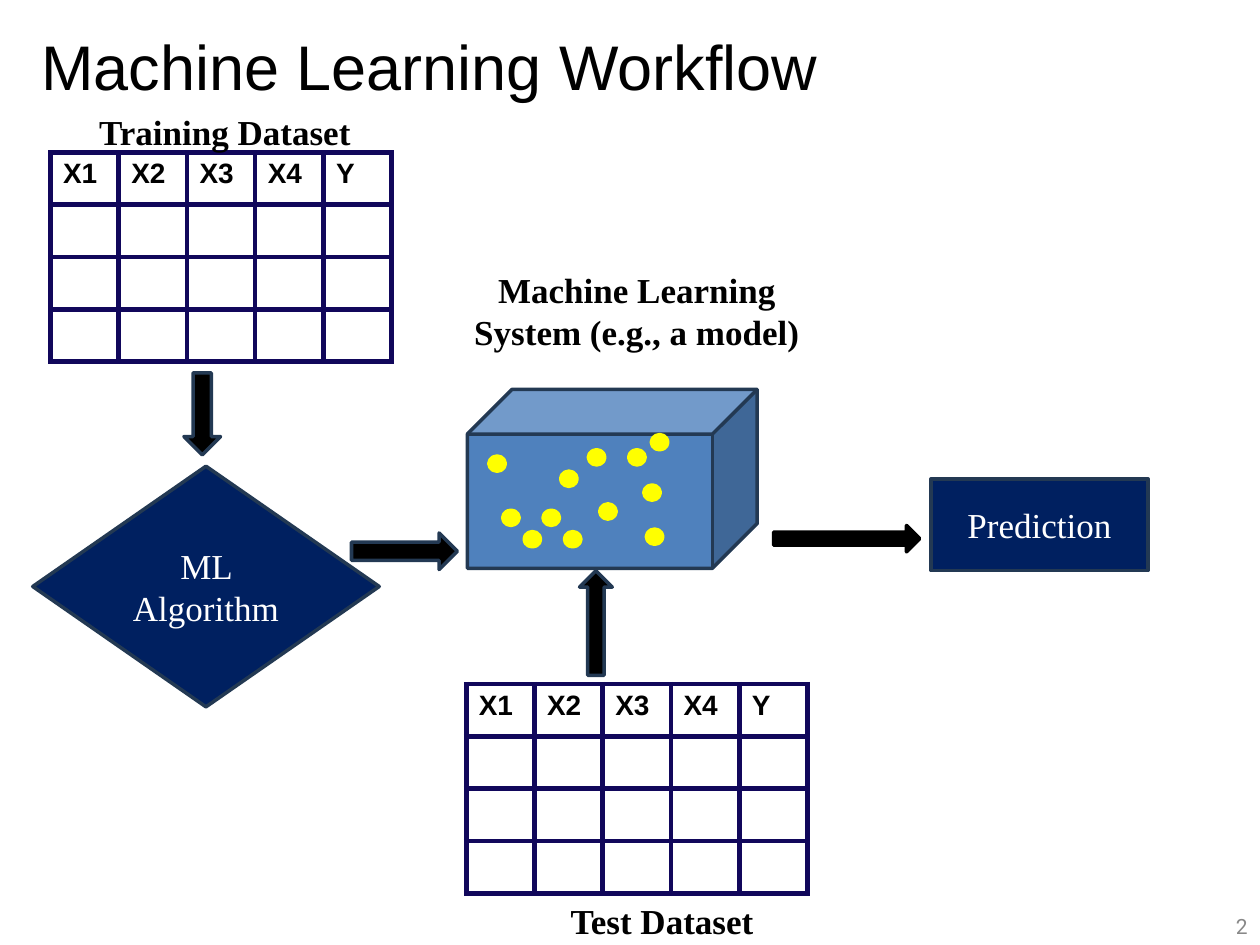
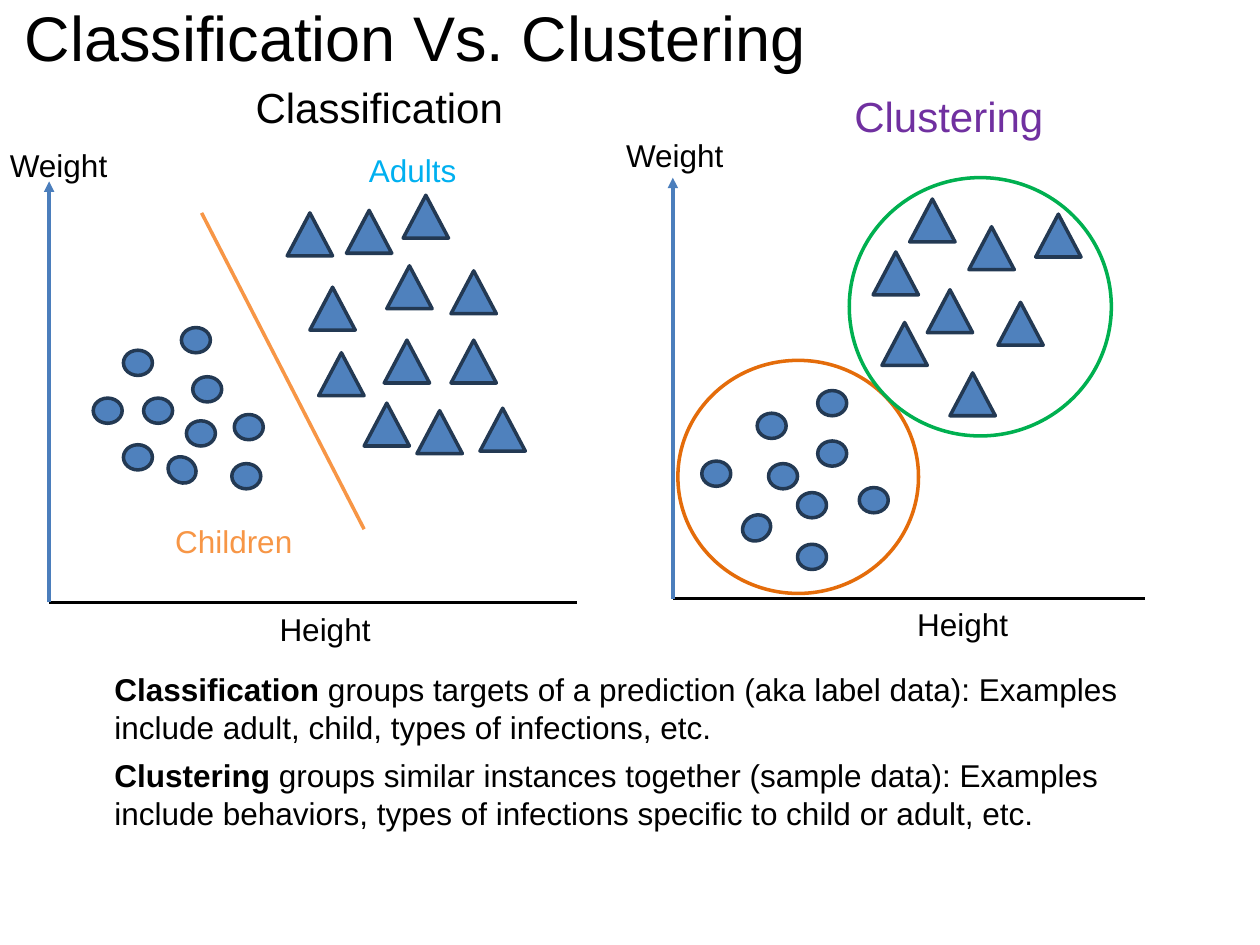
"""Build two slides on machine learning workflow, classification and clustering."""
import dataclasses
import itertools
from typing import Any, Optional

import lxml.etree
import pptx
import pptx.dml.color
import pptx.enum.shapes
import pptx.enum.text
import pptx.oxml.ns
import pptx.util

COLS, ROWS = 100, 75
SHAPE = pptx.enum.shapes.MSO_SHAPE
ALIGN = pptx.enum.text.PP_ALIGN
ANCHOR = pptx.enum.text.MSO_ANCHOR
Point = tuple[float, float]
Box = tuple[float, float, float, float]


@dataclasses.dataclass(frozen=True)
class Type:
    """A text style."""
    size: float
    color: str = "000000"
    name: str = "Arial"
    bold: bool = False
    align: Any = ALIGN.LEFT


@dataclasses.dataclass(frozen=True)
class Theme:
    """Colours and type sizes of both slides."""
    black: str = "000000"
    navy: str = "002060"
    blue: str = "4F81BD"
    edge: str = "233953"
    yellow: str = "FFFF00"
    grid: str = "11075B"
    axis: str = "4B7EBC"
    orange: str = "F79646"
    rust: str = "E46C0A"
    green: str = "00B050"
    stroke: float = 2
    title: Type = Type(36)
    number: Type = Type(12, "888888", "Roboto", align=ALIGN.RIGHT)
    header: Type = Type(16, bold=True)
    node: Type = Type(20, "FFFFFF", "Times New Roman", align=ALIGN.CENTER)
    caption: Type = Type(20, name="Times New Roman", bold=True, align=ALIGN.CENTER)
    body: Type = Type(18)
    group: Type = Type(18, align=ALIGN.CENTER)
    heading: Type = Type(24, align=ALIGN.CENTER)


T = Theme()


@dataclasses.dataclass(frozen=True)
class Para:
    """A paragraph with an optional bold lead."""
    text: str
    lead: str = ""


@dataclasses.dataclass(frozen=True)
class Label:
    """A text box."""
    box: Box
    paras: tuple[Para, ...]
    style: Type
    anchor: Any = ANCHOR.TOP
    inset: float = 0.05
    after: float = 0


@dataclasses.dataclass(frozen=True)
class Piece:
    """A preset shape."""
    kind: Any
    box: Box
    fill: Optional[str] = T.blue
    line: str = T.edge
    weight: float = T.stroke
    turn: float = 0
    text: str = ""


@dataclasses.dataclass(frozen=True)
class Line:
    """A straight line."""
    start: Point
    end: Point
    color: str = T.black
    arrow: bool = False


@dataclasses.dataclass(frozen=True)
class Plot:
    """A weight and height chart area."""
    origin: Point
    right: float
    top: float
    weight_at: Point
    height_at: Point


def rgb(color: str) -> Any:
    """Return a colour value."""
    return pptx.dml.color.RGBColor.from_string(color)


def place(prs: Any, *lengths: float) -> list[int]:
    """Turn alternating columns and rows into lengths."""
    units = itertools.cycle((prs.slide_width / COLS, prs.slide_height / ROWS))
    return [round(v * u) for v, u in zip(lengths, units)]


def apply(obj: Any, fmt: dict[str, Any]) -> None:
    """Set each format value on an object."""
    for key, value in fmt.items():
        setattr(obj, key, value)


def add_run(p: Any, text: str, style: Type, bold: bool) -> None:
    """Add a styled run."""
    r = p.add_run()
    r.text = text
    apply(r.font, {"size": pptx.util.Pt(style.size), "name": style.name, "bold": bold})
    r.font.color.rgb = rgb(style.color)


def write(tf: Any, paras: tuple[Para, ...], style: Type, after: float = 0) -> None:
    """Fill a text frame."""
    for i, para in enumerate(paras):
        p = tf.add_paragraph() if i else tf.paragraphs[0]
        apply(p, {"alignment": style.align, "space_after": pptx.util.Pt(after)})
        if para.lead:
            add_run(p, para.lead, style, True)
        add_run(p, para.text, style, style.bold)


def draw_label(prs: Any, s: Any, label: Label) -> None:
    """Draw a text box."""
    tf = s.shapes.add_textbox(*place(prs, *label.box)).text_frame
    inset = pptx.util.Inches(label.inset)
    apply(tf, {"word_wrap": True, "vertical_anchor": label.anchor,
               "margin_top": inset, "margin_bottom": inset})
    write(tf, label.paras, label.style, label.after)


def draw_piece(prs: Any, s: Any, piece: Piece) -> None:
    """Draw a preset shape."""
    sp = s.shapes.add_shape(piece.kind, *place(prs, *piece.box))
    apply(sp, {"rotation": piece.turn})
    sp.shadow.inherit = False
    if piece.fill:
        sp.fill.solid()
        sp.fill.fore_color.rgb = rgb(piece.fill)
    else:
        sp.fill.background()
    sp.line.color.rgb = rgb(piece.line)
    sp.line.width = pptx.util.Pt(piece.weight)
    if piece.text:
        apply(sp.text_frame, {"word_wrap": True, "vertical_anchor": ANCHOR.MIDDLE})
        write(sp.text_frame, (Para(piece.text),), T.node)


def draw_line(prs: Any, s: Any, line: Line) -> None:
    """Draw a connector."""
    kind = pptx.enum.shapes.MSO_CONNECTOR.STRAIGHT
    sp = s.shapes.add_connector(kind, *place(prs, *line.start, *line.end))
    sp.line.color.rgb = rgb(line.color)
    sp.line.width = pptx.util.Pt(T.stroke)
    qn = pptx.oxml.ns.qn
    if line.arrow:
        lxml.etree.SubElement(sp.line._get_or_add_ln(), qn("a:tailEnd"), type="triangle")
    lxml.etree.SubElement(sp._element.spPr, qn("a:effectLst"))


def draw_border(cell: Any) -> None:
    """Draw the four borders of a cell."""
    qn = pptx.oxml.ns.qn
    tc_pr = cell._tc.get_or_add_tcPr()
    for i, side in enumerate(("lnL", "lnR", "lnT", "lnB")):
        ln = lxml.etree.Element(qn(f"a:{side}"), w=str(pptx.util.Pt(3)))
        fill = lxml.etree.SubElement(ln, qn("a:solidFill"))
        lxml.etree.SubElement(fill, qn("a:srgbClr"), val=T.grid)
        tc_pr.insert(i, ln)


def draw_dataset(prs: Any, s: Any, at: Point) -> None:
    """Draw an empty data table with its header."""
    names, rows = ("X1", "X2", "X3", "X4", "Y"), 4
    frame = s.shapes.add_table(rows, len(names), *place(prs, *at, 27.1, 16.6))
    table = frame.table
    apply(table, {"first_row": False, "horz_banding": False})
    for row, col in itertools.product(range(rows), range(len(names))):
        cell = table.cell(row, col)
        cell.fill.background()
        draw_border(cell)
        if row == 0:
            write(cell.text_frame, (Para(names[col]),), T.header)
        else:
            cell.text_frame.paragraphs[0].font.size = pptx.util.Pt(T.header.size)


def draw_plot(prs: Any, s: Any, plot: Plot) -> None:
    """Draw the axes of a plot and their names."""
    x, y = plot.origin
    draw_line(prs, s, Line(plot.origin, (plot.right, y)))
    draw_line(prs, s, Line(plot.origin, (x, plot.top), T.axis, True))
    for name, at in (("Weight", plot.weight_at), ("Height", plot.height_at)):
        draw_label(prs, s, Label((*at, 14.1, 4), (Para(name),), T.body))


def add_slide(prs: Any, title: str, box: Box) -> Any:
    """Add a blank slide with its title."""
    s = prs.slides.add_slide(prs.slide_layouts[6])
    draw_label(prs, s, Label(box, (Para(title),), T.title, ANCHOR.MIDDLE, 0.1))
    return s


def build_workflow(prs: Any) -> None:
    """Build the workflow slide."""
    s = add_slide(prs, "Machine Learning Workflow", (2.3, 0.2, 90, 10))
    draw_label(prs, s, Label((80, 72, 20, 3), (Para("2"),), T.number, ANCHOR.MIDDLE))
    for at in ((4, 12.1), (37, 54.3)):
        draw_dataset(prs, s, at)
    nodes = (
        Piece(SHAPE.DIAMOND, (2.6, 37, 27.5, 19.1), T.navy, text="ML Algorithm"),
        Piece(SHAPE.CUBE, (37.1, 30.9, 23, 14.2)),
        Piece(SHAPE.RECTANGLE, (73.9, 38, 17.2, 7.3), T.navy, text="Prediction"),
    )
    arrows = (
        Piece(SHAPE.DOWN_ARROW, (14.6, 29.6, 2.9, 6.5), T.black),
        Piece(SHAPE.RIGHT_ARROW, (27.9, 42.3, 8.4, 2.9), T.black),
        Piece(SHAPE.UP_ARROW, (46, 45.3, 2.6, 8.3), T.black),
        Piece(SHAPE.RIGHT_ARROW, (61.4, 41.7, 11.6, 2.1), T.black, T.black),
    )
    dots = ((44.6, 37.5), (43.2, 40.6), (50, 35.8), (51.2, 38.6), (46.8, 35.8), (47.7, 40.1),
            (51.8, 34.6), (44.9, 42.3), (51.4, 42.1), (38.9, 36.3), (40, 40.6), (41.7, 42.3))
    samples = (Piece(SHAPE.OVAL, (*at, 1.1, 1), T.yellow, T.yellow, 3.5) for at in dots)
    for piece in itertools.chain(nodes, samples, arrows):
        draw_piece(prs, s, piece)
    for text, box in (("Training Dataset", (2.6, 8.3, 30.5, 4.4)),
                      ("Test Dataset", (37.3, 70.9, 30.5, 4.4)),
                      ("Machine Learning System (e.g., a model)", (35.4, 20.8, 30.3, 7.7))):
        draw_label(prs, s, Label(box, (Para(text),), T.caption))


def build_comparison(prs: Any) -> None:
    """Build the classification and clustering slide."""
    s = add_slide(prs, "Classification Vs. Clustering", (1, 0.5, 90, 4.8))
    paras = (
        Para(" groups targets of a prediction (aka label data): Examples include adult, "
             "child, types of infections, etc.", "Classification"),
        Para(" groups similar instances together (sample data): Examples include behaviors, "
             "types of infections specific to child or adult, etc.", "Clustering"),
    )
    draw_label(prs, s, Label((8.1, 52.7, 85.8, 17.8), paras, T.body, after=6))
    children = ((9.8, 27.8), (11.4, 31.6), (14.8, 33.4), (14.4, 26), (18.4, 36.8), (9.8, 35.3),
                (7.4, 31.6), (15.3, 29.9), (18.6, 32.9), (63.3, 39.1), (61, 36.8), (68.2, 38.7),
                (55.7, 36.6), (63.3, 43.2), (60.1, 32.8), (64.9, 35), (64.9, 31))
    tilted = ((13.3, 36.3, 31.8), (58.9, 40.9, 330.3))
    adults = ((24.6, 22.8), (25.3, 28), (35.8, 27), (30.7, 21.1), (28.9, 32), (22.8, 16.9),
              (27.5, 16.7), (30.5, 27), (38.1, 32.4), (35.8, 21.5), (33.1, 32.6), (32, 15.5),
              (73.6, 23), (76.9, 18), (69.3, 20), (72.2, 15.8), (70, 25.6), (79.2, 24),
              (75.4, 29.6), (82.2, 17))
    for x, y, turn in itertools.chain(((*at, 0) for at in children), tilted):
        draw_piece(prs, s, Piece(SHAPE.OVAL, (x, y, 2.3, 2), turn=turn))
    for at in adults:
        draw_piece(prs, s, Piece(SHAPE.ISOSCELES_TRIANGLE, (*at, 3.6, 3.4)))
    draw_line(prs, s, Line((16, 16.9), (28.9, 42), T.orange))
    for plot in (Plot((3.9, 47.8), 45.8, 14.4, (-0.2, 11.1), (21.2, 47.9)),
                 Plot((53.4, 47.5), 90.9, 14.1, (48.7, 10.3), (71.8, 47.5))):
        draw_plot(prs, s, plot)
    for box, color in (((53.8, 28.6, 19.1, 18.5), T.rust), ((67.4, 14.1, 20.8, 20.5), T.green)):
        draw_piece(prs, s, Piece(SHAPE.OVAL, box, None, color))
    for text, box, style, color in (
            ("Adults", (22.4, 11.5, 20.7, 4), T.group, "00B0F0"),
            ("Children", (8.2, 40.9, 20.7, 4), T.group, T.orange),
            ("Classification", (17.7, 6, 24.8, 5), T.heading, T.black),
            ("Clustering", (62.9, 6.7, 24.8, 5), T.heading, "7030A0")):
        draw_label(prs, s, Label(box, (Para(text),), dataclasses.replace(style, color=color)))


def main() -> None:
    """Build and save the presentation."""
    prs = pptx.Presentation()
    apply(prs, {"slide_width": pptx.util.Inches(10), "slide_height": pptx.util.Inches(7.5)})
    build_workflow(prs)
    build_comparison(prs)
    prs.save("out.pptx")


if __name__ == "__main__":
    main()
